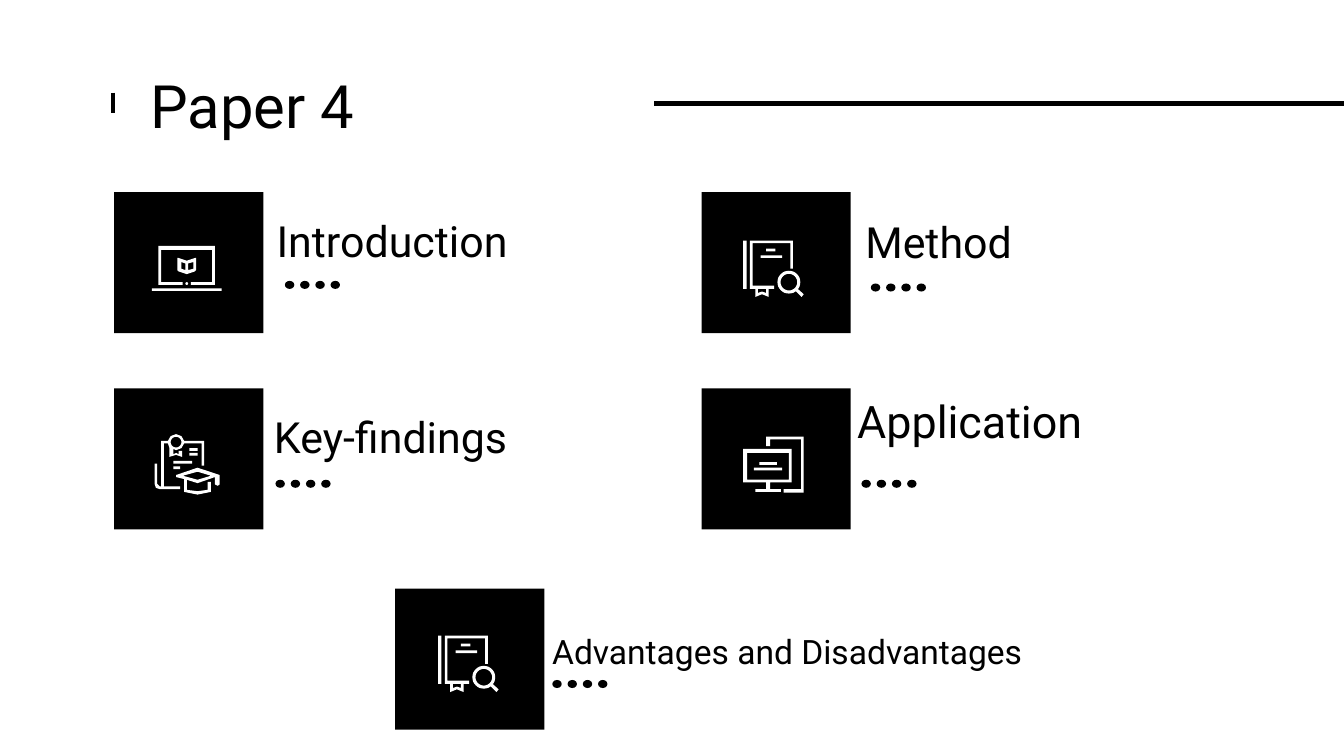
"""Build the Paper 4 overview slide with five icon topics."""
from math import cos, pi, sin

from lxml.etree import SubElement
from pptx import Presentation
from pptx.dml.color import RGBColor
from pptx.enum.shapes import MSO_CONNECTOR, MSO_SHAPE
from pptx.enum.text import MSO_ANCHOR, MSO_AUTO_SIZE, PP_ALIGN
from pptx.oxml.ns import qn
from pptx.util import Inches, Pt

BLACK = RGBColor(0, 0, 0)
WHITE = RGBColor(255, 255, 255)
FONT = "Roboto"


def box(left, top, right, bottom):
    return [(left, top), (right, top), (right, bottom), (left, bottom)]


def disc(x, y, radius, steps=32):
    angles = [2 * pi * step / steps for step in range(steps)]
    return [(x + radius * cos(angle), y + radius * sin(angle)) for angle in angles]


LAPTOP = [
    [(190, 90), (200, 90), (260, 110), (320, 90), (330, 90),
     (330, 180), (320, 190), (260, 210), (200, 190), (190, 180)],
    [(220, 120), (250, 130), (250, 180), (220, 170)],
    [(310, 120), (310, 170), (270, 180), (270, 130)],
    disc(260, 280, 10),
    [(50, 0), (50, 290), (230, 290), (230, 270), (70, 270), (70, 30),
     (450, 30), (450, 270), (290, 270), (290, 290), (470, 290), (470, 0)],
    box(0, 315, 520, 335),
]
BOOK = [
    box(170, 60, 240, 80),
    box(130, 110, 290, 130),
    box(0, 0, 25, 360),
    [(50, 0), (50, 360), (90, 360), (90, 420), (140, 400), (190, 420),
     (190, 360), (230, 360), (230, 335), (70, 335), (70, 20), (350, 20),
     (350, 210), (370, 210), (370, 0)],
    [(170, 360), (170, 390), (140, 380), (110, 390), (110, 360)],
    disc(340, 310, 85),
    disc(340, 310, 62),
    [(408, 362), (450, 400), (435, 420), (392, 378)],
]
DIPLOMA = [
    disc(160, 60, 40),
    box(260, 105, 320, 125),
    box(260, 140, 320, 160),
    box(140, 200, 280, 220),
    box(140, 240, 190, 260),
    [(160, 0), (120, 15), (100, 50), (50, 50), (50, 390), (40, 390),
     (20, 370), (20, 220), (0, 220), (0, 370), (10, 400), (40, 410),
     (190, 410), (190, 390), (70, 390), (70, 70), (100, 70), (110, 100),
     (110, 170), (160, 155), (205, 170), (205, 125), (180, 125), (180, 150),
     (160, 140), (140, 150), (140, 110), (160, 120), (200, 105), (220, 70),
     (350, 70), (350, 235), (370, 235), (370, 50), (220, 50), (200, 15)],
    [(320, 250), (160, 305), (160, 320), (220, 335), (220, 430), (320, 450),
     (420, 430), (420, 355), (395, 355), (395, 415), (320, 425), (240, 415),
     (240, 340), (320, 365), (450, 320), (450, 375), (470, 385), (485, 375),
     (485, 305)],
    [(320, 280), (420, 310), (320, 340), (210, 310)],
]
COMPUTER = [
    box(120, 190, 250, 210),
    box(80, 230, 290, 250),
    box(30, 120, 340, 320),
    [(0, 90), (0, 340), (170, 340), (170, 390), (90, 390), (90, 410),
     (280, 410), (280, 390), (200, 390), (200, 340), (360, 340), (360, 90)],
    [(170, 0), (170, 70), (200, 70), (200, 20), (430, 20), (430, 390),
     (300, 390), (300, 415), (450, 415), (450, 0)],
]

TOPICS = [
    ("Introduction", 23, (1.96, 1.57, 2.53, 0.43), (0.85, 1.43), (2.12, 2.09), LAPTOP, (1.13, 1.83)),
    ("Method", 23, (6.34, 1.58, 2.53, 0.43), (5.22, 1.43), (6.48, 2.11), BOOK, (5.53, 1.79)),
    ("Key-findings", 23, (1.94, 3.03, 2.53, 0.43), (0.85, 2.89), (2.05, 3.57), DIPLOMA, (1.15, 3.23)),
    ("Application", 24, (6.28, 2.61, 3.88, 1.04), (5.22, 2.89), (6.41, 3.57), COMPUTER, (5.53, 3.25)),
    ("Advantages and Disadvantages", 18, (4.01, 4.64, 4.64, 0.41), (2.94, 4.38), (4.11, 5.06), BOOK, (3.26, 4.73)),
]
RULES = [(10.07, 0.77, 4.87, 0.77), (0.84, 0.69, 0.84, 0.84)]

presentation = Presentation()
presentation.slide_width = Inches(10)
presentation.slide_height = Inches(10 * 9 / 16)
slide = presentation.slides.add_slide(presentation.slide_layouts[5])
shapes = slide.shapes

title = shapes.title
title.left, title.top, title.width, title.height = map(Inches, (1.02, 0.41, 8.19, 0.63))
texts = [(title, "Paper 4", 32, MSO_ANCHOR.TOP)]

for label, size, frame, square_at, dots_at, icon, icon_at in TOPICS:
    textbox = shapes.add_textbox(*map(Inches, frame))
    texts.append((textbox, label, size, MSO_ANCHOR.MIDDLE))

    left, top = dots_at
    solids = [(MSO_SHAPE.RECTANGLE, *square_at, 1.11, 1.05)]
    solids += [(MSO_SHAPE.OVAL, left + 0.34 * index / 3, top, 0.07, 0.06) for index in range(4)]
    filled = [(shapes.add_shape(kind, *map(Inches, place)), BLACK) for kind, *place in solids]

    builder = shapes.build_freeform(*icon[0][0], scale=Inches(0.001))
    for index, outline in enumerate(icon):
        if index:
            builder.move_to(*outline[0])
        builder.add_line_segments(outline[1:], close=True)
    filled.append((builder.convert_to_shape(*map(Inches, icon_at)), WHITE))

    for shape, color in filled:
        shape.shadow.inherit = False
        shape.fill.solid()
        shape.fill.fore_color.rgb = color
        shape.line.fill.background()

for shape, text, size, anchor in texts:
    text_frame = shape.text_frame
    text_frame.word_wrap = True
    text_frame.auto_size = MSO_AUTO_SIZE.NONE
    text_frame.vertical_anchor = anchor
    text_frame.margin_left = text_frame.margin_right = Inches(0.1)
    text_frame.margin_top = text_frame.margin_bottom = Inches(0.1)
    paragraph = text_frame.paragraphs[0]
    paragraph.alignment = PP_ALIGN.LEFT
    run = paragraph.add_run()
    run.text = text
    run.font.name = FONT
    run.font.size = Pt(size)
    run.font.color.rgb = BLACK

for ends in RULES:
    connector = shapes.add_connector(MSO_CONNECTOR.STRAIGHT, *map(Inches, ends))
    connector.line.color.rgb = BLACK
    connector.line.width = Pt(2.25)
    SubElement(connector._element.spPr, qn("a:effectLst"))

presentation.save("out.pptx")
